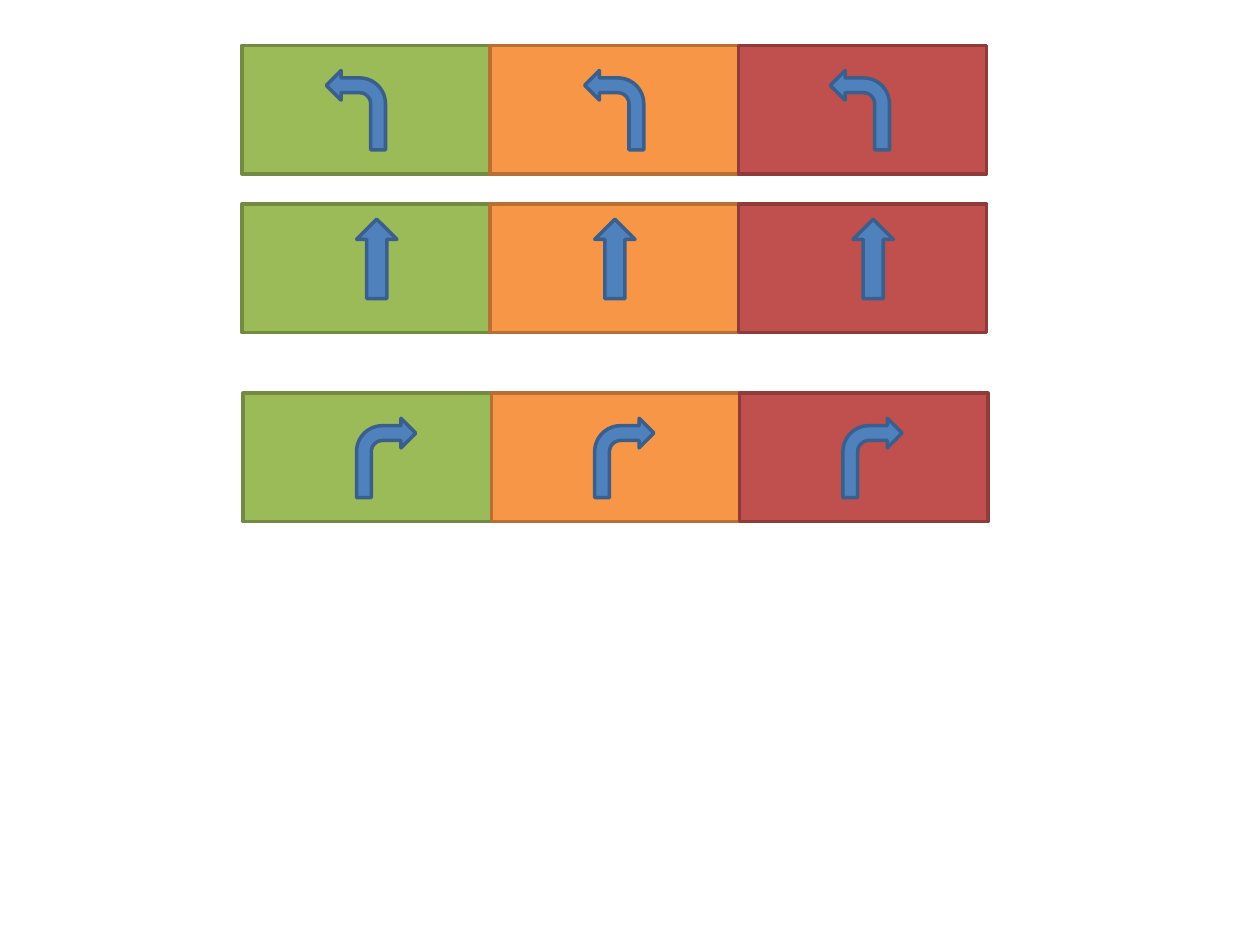
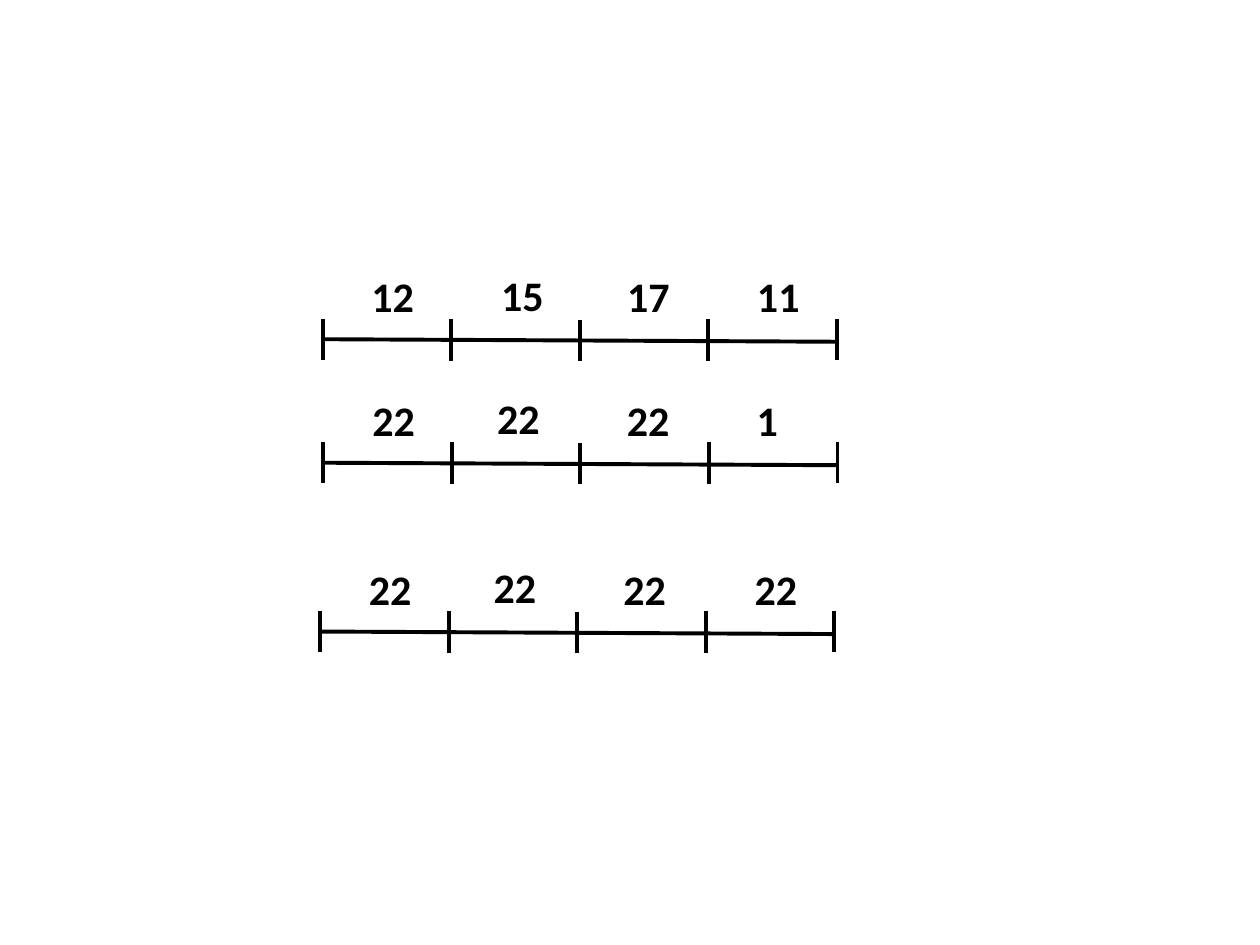
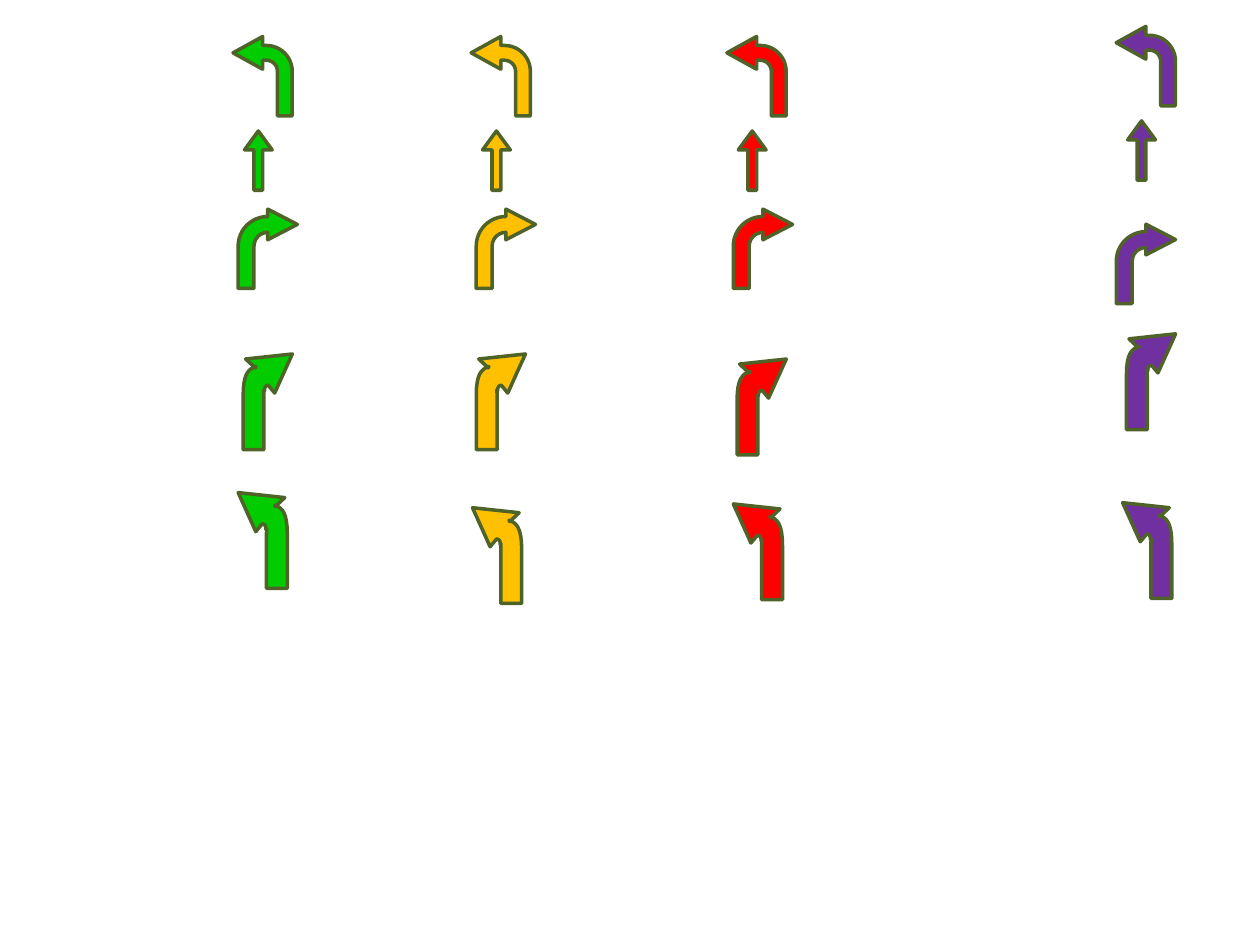
from lxml import etree
from pptx import Presentation
from pptx.dml.color import RGBColor
from pptx.enum.shapes import MSO_CONNECTOR, MSO_SHAPE
from pptx.enum.text import MSO_AUTO_SIZE
from pptx.oxml.ns import qn
from pptx.util import Inches, Pt

SLIDE_WIDTH, SLIDE_HEIGHT = Inches(10), Inches(7.5)
COLUMN, ROW = SLIDE_WIDTH / 100, SLIDE_HEIGHT / 75

COLORS = {
    "lane green": "9BBB59", "lane green edge": "738A42",
    "lane orange": "F79646", "lane orange edge": "B76F34",
    "lane red": "C0504D", "lane red edge": "8E3B39",
    "lane arrow": "4F81BD", "lane arrow edge": "3A5F8C",
    "green": "00CC00", "amber": "FFC000", "red": "FF0000", "purple": "7030A0",
    "signal edge": "4F6228", "black": "000000",
}
LABEL_FONT = {"name": "Calibri", "size": Pt(24), "bold": True}

LANES = ("lane green", "lane orange", "lane red")
LANE_SIZE = (19.7, 10.2)
BENT_SIZE = (4.7, 6.3)
LANE_ROWS = (
    {"box": (19.2, 3.6), "preset": MSO_SHAPE.BENT_ARROW, "size": BENT_SIZE,
     "flip": True, "insets": (6.7, 7.5, 7.3), "drop": 2},
    {"box": (19.2, 16.2), "preset": MSO_SHAPE.UP_ARROW, "size": (3.2, 6.3),
     "flip": False, "insets": (9.1, 8.3, 9.1), "drop": 1.2},
    {"box": (19.3, 31.2), "preset": MSO_SHAPE.BENT_ARROW, "size": BENT_SIZE,
     "flip": False, "insets": (9, 8.2, 8.2), "drop": 2},
)

SEGMENT_WIDTH, TICK_HEIGHT = 10.2, 3.25
TICK_DROPS = (0, 0.07, 0.1, 0)
LABEL_RISES = (4.3, 4.4, 4.3, 4.3)
SCALES = (
    {"box": (25.6, 25.3), "values": ("12", "15", "17", "11"), "insets": (2.9, 3, 2.8, 2.9)},
    {"box": (25.67, 35.1), "values": ("22", "22", "22", "1"), "insets": (2.9, 2.6, 2.7, 2.8)},
    {"box": (25.4, 48.5), "values": ("22", "22", "22", "22"), "insets": (2.9, 2.6, 2.7, 2.9)},
)

LEFT_ADJUSTMENTS = (0.25, 0.276, 0.5, 0.438)
UP_ADJUSTMENTS = (0.32, 0.683)
RIGHT_ADJUSTMENTS = (0.268, 0.259, 0.5, 0.614)
SIGNALS = (
    {"color": "green", "box": (18.5, 2.9), "left": (0, 0), "up": (0.9, 7.5),
     "right": (0.4, 13.7), "slight right": (0.8, 25.2), "slight left": (0.4, 36.2)},
    {"color": "amber", "box": (37.4, 2.9), "left": (0, 0), "up": (0.9, 7.5),
     "right": (0.4, 13.7), "slight right": (0.4, 25.2), "slight left": (0.1, 37.4)},
    {"color": "red", "box": (57.7, 2.9), "left": (0, 0), "up": (0.9, 7.5),
     "right": (0.5, 13.7), "slight right": (0.8, 25.6), "slight left": (0.5, 37.1)},
    {"color": "purple", "box": (88.6, 2.1), "left": (0, 0), "up": (0.9, 7.5),
     "right": (0, 15.7), "slight right": (0.8, 24.4), "slight left": (0.5, 37.8)},
)
SLIGHT_TURN_WIDTH = 3.9
SLIGHT_TURN_START = (0, 7.6)
SLIGHT_TURN_STEPS = (
    [(0, 3.3)], [(0, 1.6), (0.4, 1.2), (1, 1)], [(0.95, 1.1)], [(0.2, 0.4)],
    [(3.9, 0)], [(2.5, 3.1)], [(2, 2.5)], [(1.9, 2.5)],
    [(1.6, 2.6), (1.7, 3.2), (1.7, 2.8)], [(1.6, 3), (1.65, 2.5), (1.65, 3.3)],
    [(1.65, 7.6)],
)
CURVE_STEPS = 8


def grid(left, top):
    """Convert a grid position or size to slide units."""
    return round(left * COLUMN), round(top * ROW)


def color(name):
    """Look up a named colour."""
    return RGBColor.from_string(COLORS[name])


def paint(shape, fill, edge):
    """Give a shape a flat fill and a thin edge."""
    shape.shadow.inherit = False
    shape.fill.solid()
    shape.fill.fore_color.rgb = color(fill)
    shape.line.color.rgb = color(edge)
    shape.line.width = Pt(2)


def add_preset(slide, preset, position, size, fill, edge, flip=False, adjustments=()):
    """Add a painted preset shape, mirrored if asked."""
    shape = slide.shapes.add_shape(preset, *grid(*position), *grid(*size))
    for index, value in enumerate(adjustments):
        shape.adjustments[index] = value
    if flip:
        shape.element.spPr.get_or_add_xfrm().set("flipH", "1")
    paint(shape, fill, edge)


def add_line(slide, start, end):
    """Add a black straight line between two grid positions."""
    connector = slide.shapes.add_connector(MSO_CONNECTOR.STRAIGHT, *grid(*start), *grid(*end))
    connector.line.color.rgb = color("black")
    connector.line.width = Pt(2.25)
    etree.SubElement(connector.element.spPr, qn("a:effectLst"))


def add_label(slide, text, position):
    """Add a bold number above a scale segment."""
    box = slide.shapes.add_textbox(*grid(*position), *grid(7.3, 5))
    frame = box.text_frame
    frame.word_wrap = True
    frame.auto_size = MSO_AUTO_SIZE.SHAPE_TO_FIT_TEXT
    run = frame.paragraphs[0].add_run()
    run.text = text
    for attribute, value in LABEL_FONT.items():
        setattr(run.font, attribute, value)
    run.font.color.rgb = color("black")


def curve_points(start, controls):
    """List the points along a cubic curve after its start."""
    points = (start, *controls)
    weights = (1, 3, 3, 1)
    for step in range(1, CURVE_STEPS + 1):
        share = step / CURVE_STEPS
        factors = [weight * (1 - share) ** (3 - power) * share ** power
                   for power, weight in enumerate(weights)]
        yield tuple(sum(factor * point[axis] for factor, point in zip(factors, points))
                    for axis in (0, 1))


def slight_turn_outline():
    """List the outline points of a slight right turn."""
    points = [SLIGHT_TURN_START]
    for step in SLIGHT_TURN_STEPS:
        points.extend(step if len(step) == 1 else curve_points(points[-1], step))
    return points


def add_slight_turn(slide, position, fill, to_left):
    """Add a slight turn arrow to the right or the left."""
    left, top = position
    points = [grid(left + (SLIGHT_TURN_WIDTH - x if to_left else x), top + y)
              for x, y in slight_turn_outline()]
    builder = slide.shapes.build_freeform(*points[0])
    builder.add_line_segments(points[1:], close=True)
    paint(builder.convert_to_shape(), fill, "signal edge")


def add_lane_row(slide, box, preset, size, flip, insets, drop):
    """Add three coloured lanes with an arrow in each."""
    left, top = box
    lefts = [left + index * LANE_SIZE[0] for index in range(len(LANES))]
    for lane, lane_left in zip(LANES, lefts):
        add_preset(slide, MSO_SHAPE.RECTANGLE, (lane_left, top), LANE_SIZE, lane, f"{lane} edge")
    for lane_left, inset in zip(lefts, insets):
        add_preset(slide, preset, (lane_left + inset, top + drop), size,
                   "lane arrow", "lane arrow edge", flip)


def add_scale(slide, box, values, insets):
    """Add a divided line with a number over each segment."""
    left, top = box
    axis_top = top + TICK_HEIGHT / 2
    add_line(slide, (left, axis_top), (left + len(values) * SEGMENT_WIDTH, axis_top + 0.2))
    for index, (value, inset) in enumerate(zip(values, insets)):
        segment_left = left + index * SEGMENT_WIDTH
        tick_top = top + TICK_DROPS[index]
        for tick_left in (segment_left, segment_left + SEGMENT_WIDTH):
            add_line(slide, (tick_left, tick_top), (tick_left, tick_top + TICK_HEIGHT))
        add_label(slide, value, (segment_left + inset, top - LABEL_RISES[index]))


def add_signal_column(slide, signal):
    """Add the five arrows of one signal colour."""
    left, top = signal["box"]
    fill = signal["color"]

    def place(name):
        """Find the position of a named arrow in this column."""
        return left + signal[name][0], top + signal[name][1]

    for name, preset, size, flip, adjustments in (
        ("right", MSO_SHAPE.BENT_ARROW, BENT_SIZE, False, RIGHT_ADJUSTMENTS),
        ("up", MSO_SHAPE.UP_ARROW, (2.2, 4.7), False, UP_ADJUSTMENTS),
        ("left", MSO_SHAPE.BENT_ARROW, BENT_SIZE, True, LEFT_ADJUSTMENTS),
    ):
        add_preset(slide, preset, place(name), size, fill, "signal edge", flip, adjustments)
    for name in ("slight right", "slight left"):
        add_slight_turn(slide, place(name), fill, name == "slight left")


def main():
    """Build the three slides and save them."""
    presentation = Presentation()
    presentation.slide_width, presentation.slide_height = SLIDE_WIDTH, SLIDE_HEIGHT
    blank = presentation.slide_layouts[6]
    lanes, scales, signals = [presentation.slides.add_slide(blank) for _ in range(3)]
    for lane_row in LANE_ROWS:
        add_lane_row(lanes, **lane_row)
    for scale in SCALES:
        add_scale(scales, **scale)
    for signal in SIGNALS:
        add_signal_column(signals, signal)
    presentation.save("out.pptx")


if __name__ == "__main__":
    main()
